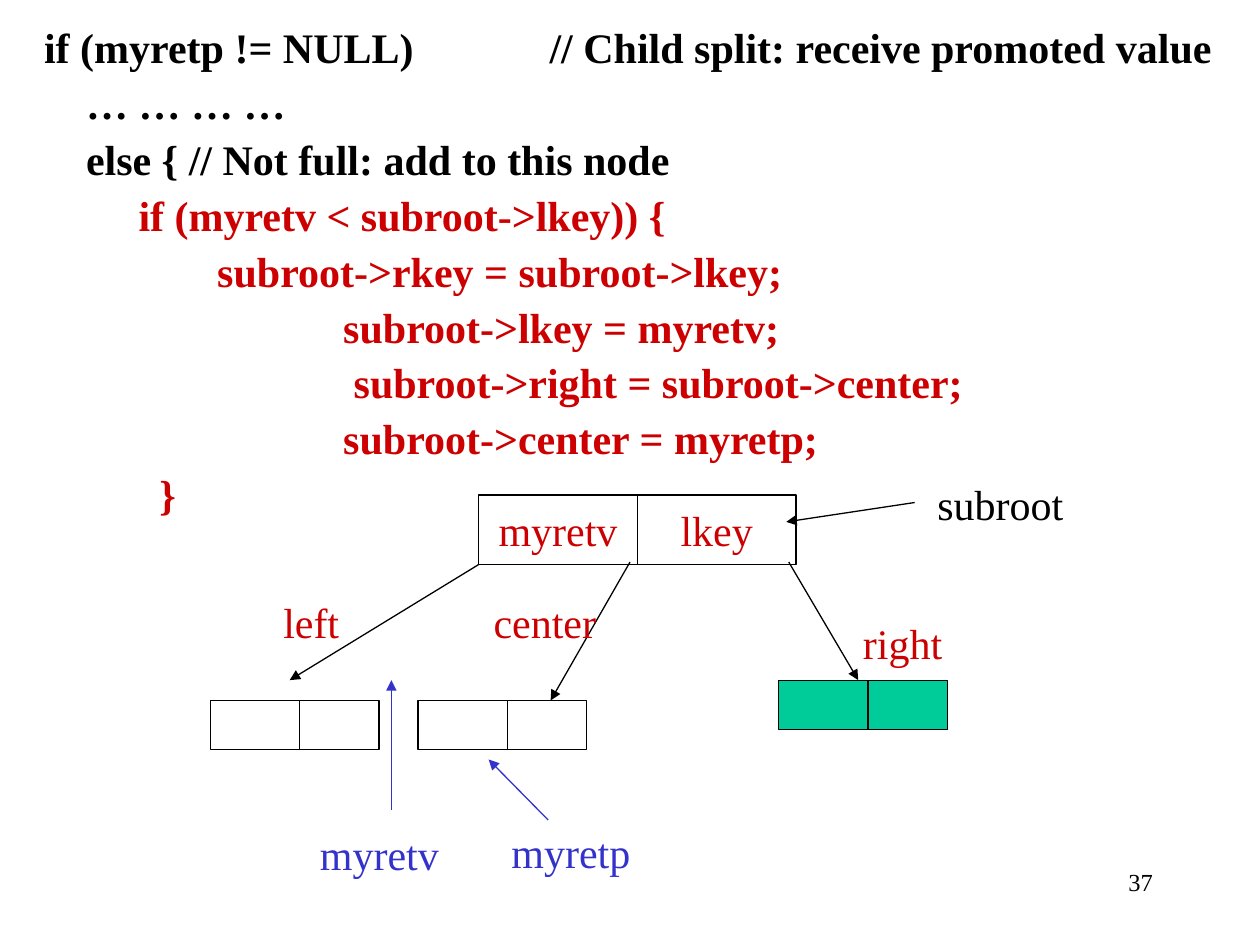
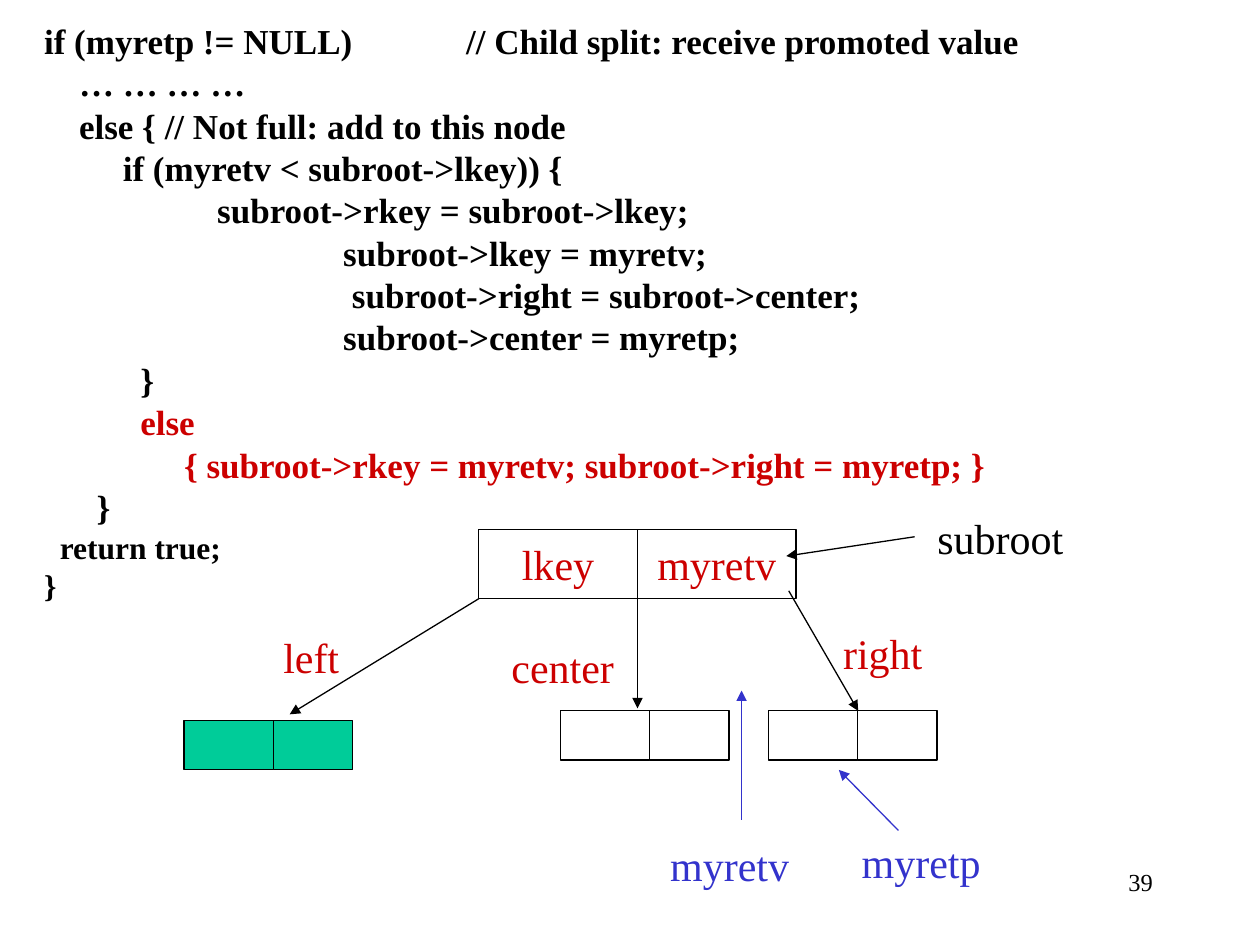
from dataclasses import dataclass
from typing import NamedTuple

from lxml.etree import SubElement
from pptx import Presentation
from pptx.dml.color import RGBColor
from pptx.enum.shapes import MSO_CONNECTOR, MSO_SHAPE
from pptx.enum.text import MSO_ANCHOR as Anchor, PP_ALIGN as Align
from pptx.oxml.ns import qn
from pptx.util import Cm, Pt


@dataclass(frozen=True)
class Theme:
    font: str = "Times New Roman"
    black: RGBColor = RGBColor(0, 0, 0)
    red: RGBColor = RGBColor(0xCC, 0, 0)
    blue: RGBColor = RGBColor(0x33, 0x33, 0xCC)
    green: RGBColor = RGBColor(0, 0xCC, 0x99)
    label_size: int = 24
    number_size: int = 14
    line_width: float = 0.75


class Box(NamedTuple):
    left: float
    top: float
    width: float
    height: float

    def at(self, x, y, width=0, height=0):
        """Box offset from this one's top left corner."""
        return Box(self.left + x, self.top + y, width, height)

    def lengths(self):
        return [Cm(value) for value in self]


THEME = Theme()
LABEL_WIDTHS = {"left": 1.63, "center": 2.57, "right": 2.11,
                "subroot": 3.05, "myretv": 2.9, "myretp": 2.9}
LABEL_HEIGHT = 1.27
ROOT_CELL = (3.2, 1.4)
CHILD_CELLS = (1.8, 1.6)
CHILD_HEIGHT = 0.99
CHILD_STEP = 4.19
INDENT_STOPS = [3.49, 6.03]

OPENING = [
    "if (myretp != NULL)\t// Child split: receive promoted value",
    "    … … … …",
    "    else { // Not full: add to this node",
]
LESS_BRANCH = [
    "         if (myretv < subroot->lkey)) {",
    "\tsubroot->rkey = subroot->lkey;",
    "\t\tsubroot->lkey = myretv;",
    "\t\t subroot->right = subroot->center;",
    "\t\tsubroot->center = myretp;",
    "           }",
]
ELSE_BRANCH = [
    "           else",
    "                { subroot->rkey = myretv; subroot->right = myretp; }",
]
CLOSING = ["  return true;", "}"]


def format_runs(para, size, color, bold=False):
    for span in para.runs:
        font = span.font
        font.name, font.size, font.bold = THEME.font, Pt(size), bold
        font.color.rgb = color


def add_text(page, box, text, size, color, align=Align.CENTER, wrap=False):
    frame = page.shapes.add_textbox(*box.lengths()).text_frame
    frame.word_wrap = wrap
    frame.text = text
    para = frame.paragraphs[0]
    para.alignment = align
    format_runs(para, size, color)


def add_label(page, origin, x, y, text, color=THEME.red):
    box = origin.at(x, y, LABEL_WIDTHS[text], LABEL_HEIGHT)
    add_text(page, box, text, THEME.label_size, color)


def add_arrow(page, origin, start, end, color=THEME.black):
    x1, y1 = origin.at(*start)[:2]
    x2, y2 = origin.at(*end)[:2]
    arrow = page.shapes.add_connector(
        MSO_CONNECTOR.STRAIGHT, Cm(x1), Cm(y1), Cm(x2), Cm(y2))
    arrow.line.color.rgb = color
    arrow.line.width = Pt(THEME.line_width)
    SubElement(arrow.line._get_or_add_ln(), qn("a:tailEnd"), type="triangle")
    SubElement(arrow._element.spPr, qn("a:effectLst"))


def add_cell(shapes, box, text="", fill=None):
    cell = shapes.add_shape(MSO_SHAPE.RECTANGLE, *box.lengths())
    cell.shadow.inherit = False
    cell.line.color.rgb = THEME.black
    cell.line.width = Pt(THEME.line_width)
    if fill is None:
        cell.fill.background()
    else:
        cell.fill.solid()
        cell.fill.fore_color.rgb = fill
    if text:
        frame = cell.text_frame
        frame.word_wrap = False
        frame.vertical_anchor = Anchor.MIDDLE
        frame.text = text
        frame.paragraphs[0].alignment = Align.CENTER
        format_runs(frame.paragraphs[0], THEME.label_size, THEME.red)


def add_child(page, origin, fill=None):
    """Two-key node, its cells grouped."""
    group = page.shapes.add_group_shape()
    x = 0
    for width in CHILD_CELLS:
        add_cell(group.shapes, origin.at(x, 0, width, CHILD_HEIGHT), fill=fill)
        x += width


def add_code(page, box, lines, spacing, comment_stop):
    """Lines are (text, size, color); tabs run to shared stops."""
    frame = page.shapes.add_textbox(*box.lengths()).text_frame
    frame.word_wrap = True
    frame.text = "\n".join(text for text, _, _ in lines)
    for index, (para, (_, size, color)) in enumerate(zip(frame.paragraphs, lines)):
        stops = SubElement(para._p.get_or_add_pPr(), qn("a:tabLst"))
        for stop in INDENT_STOPS + [comment_stop]:
            SubElement(stops, qn("a:tab"), pos=str(Cm(stop)), algn="l")
        para.line_spacing = spacing
        para.space_before = Pt(size / 4 if index else 0)
        format_runs(para, size, color, bold=True)


def add_root(page, box, keys, center, right):
    """Root node; center and right give (arrow start, arrow end, label place)."""
    width, height = ROOT_CELL
    for column, key in enumerate(keys):
        add_cell(page.shapes, box.at(column * width, 0, width, height), key)
    left = ((0, height), (-3.81, 3.73), (-4.19, 1.93))
    for name, (start, end, place) in zip(("left", "center", "right"),
                                         (left, center, right)):
        add_arrow(page, box, start, end)
        add_label(page, box, *place, name)
    add_arrow(page, box, (8.79, 0.15), (6.2, 0.54))
    add_label(page, box, 8.99, -0.46, "subroot", THEME.black)


def add_split_pair(page, box):
    """Two children of a split, with the promoted value and pointer."""
    for column in range(2):
        add_child(page, box.at(column * CHILD_STEP, 0))
    add_arrow(page, box, (3.65, 2.2), (3.65, -0.41), THEME.blue)
    add_label(page, box, 1.96, 2.46, "myretv", THEME.blue)
    add_arrow(page, box, (6.81, 2.41), (5.61, 1.19), THEME.blue)
    add_label(page, box, 5.82, 2.41, "myretp", THEME.blue)


def add_page(deck, number):
    page = deck.slides.add_slide(deck.slide_layouts[6])
    add_text(page, Box(18.21, 17.35, 5.28, 1.27), number, THEME.number_size,
             THEME.black, Align.RIGHT, wrap=True)
    return page


def styled(texts, size, color=THEME.black):
    return [(text, size, color) for text in texts]


def build_insert_left(deck):
    page = add_page(deck, "37")
    lines = styled(OPENING, 24) + styled(LESS_BRANCH, 24, THEME.red)
    add_code(page, Box(0.64, 0.43, 24.77, 11.51), lines, 0.9, 10.19)
    add_root(page, Box(9.65, 9.98, 6.4, 1.4), ("myretv", "lkey"),
             center=((3.05, 1.35), (1.45, 4.14), (0.05, 1.93)),
             right=((6.25, 1.35), (7.65, 3.73), (7.49, 2.34)))
    add_split_pair(page, Box(4.24, 14.12, 7.59, CHILD_HEIGHT))
    add_child(page, Box(15.7, 13.72, 3.4, CHILD_HEIGHT), THEME.green)


def build_insert_right(deck):
    page = add_page(deck, "39")
    lines = (styled(OPENING + LESS_BRANCH, 20)
             + styled(ELSE_BRANCH, 20, THEME.red)
             + styled(["      }"], 20) + styled(CLOSING, 18))
    add_code(page, Box(0.64, 0.43, 24.77, 13.31), lines, 0.8, 8.51)
    add_root(page, Box(9.65, 10.67, 6.4, 1.4), ("lkey", "myretv"),
             center=((3.2, 1.4), (3.2, 3.61), (0.41, 2.13)),
             right=((6.25, 1.24), (7.65, 3.66), (7.09, 1.85)))
    add_split_pair(page, Box(11.3, 14.33, 7.59, CHILD_HEIGHT))
    add_child(page, Box(3.71, 14.53, 3.4, CHILD_HEIGHT), THEME.green)


def main():
    deck = Presentation()
    deck.slide_width, deck.slide_height = Cm(25.4), Cm(19.05)
    build_insert_left(deck)
    build_insert_right(deck)
    deck.save("out.pptx")


if __name__ == "__main__":
    main()
